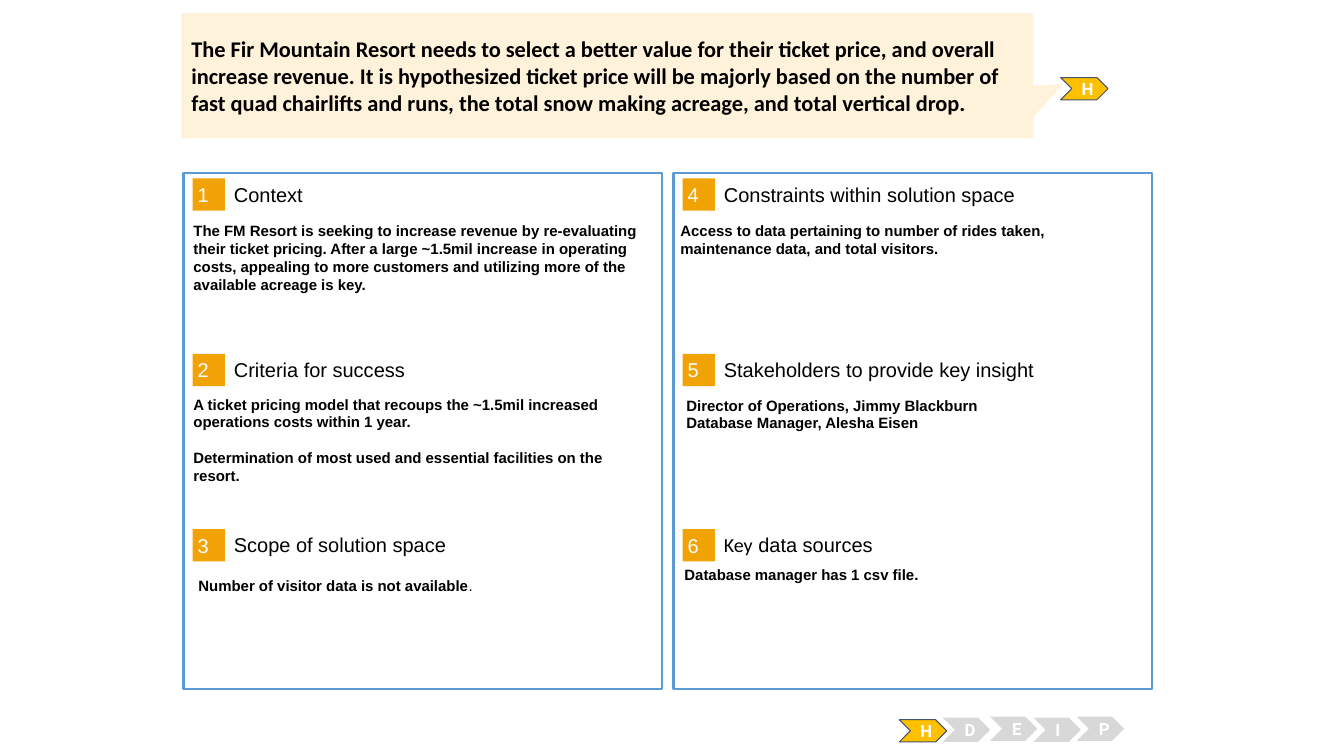
from pptx import Presentation, util as u
from pptx.dml.color import RGBColor
from pptx.enum import shapes as sh, text as tx

THEME = {
    "blue": "5B9BD5", "navy": "44546A", "gold": "FFC000", "amber": "F1A205",
    "cream": "FEF2DA", "grey": "D8D8D8", "white": "FFFFFF", "black": "000000",
    "lead": dict(name="Calibri", size=16, bold=True),
    "head": dict(name="Arial", size=14.3, bold=False),
    "body": dict(name="Arial", size=10.7, bold=True),
    "step": dict(name="Roboto", size=12, bold=True),
}
TOP, MID = tx.MSO_ANCHOR.TOP, tx.MSO_ANCHOR.MIDDLE
LEFT, CENTER = tx.PP_ALIGN.LEFT, tx.PP_ALIGN.CENTER

deck = Presentation()
deck.slide_width, deck.slide_height = u.Inches(13.33), u.Inches(7.5)
slide = deck.slides.add_slide(deck.slide_layouts[6])


def draw(kind, box, fill, line=None, width=0.75):
    """Add a preset shape, or a text box when kind is None."""
    spot = [u.Inches(v) for v in box]
    if kind is None:
        return slide.shapes.add_textbox(*spot)
    shape = slide.shapes.add_shape(kind, *spot)
    shape.shadow.inherit = False
    shape.fill.solid()
    shape.fill.fore_color.rgb = RGBColor.from_string(THEME[fill])
    if line:
        shape.line.color.rgb = RGBColor.from_string(THEME[line])
        shape.line.width = u.Pt(width)
    else:
        shape.line.fill.background()
    return shape


def write(shape, paras, style, color="black", anchor=MID, align=LEFT,
          pad=(0.1, 0.05), gap=0):
    """Fill a shape with paragraphs; each is a list of (text, font changes)."""
    frame = shape.text_frame
    side, edge = (u.Inches(v) for v in pad)
    form = dict(word_wrap=True, vertical_anchor=anchor, margin_left=side,
                margin_right=side, margin_top=edge, margin_bottom=edge)
    for key, value in form.items():
        setattr(frame, key, value)
    for i, runs in enumerate(paras):
        para = frame.add_paragraph() if i else frame.paragraphs[0]
        para.alignment = align
        para.space_before = u.Pt(gap if i else 0)
        for words, change in runs:
            run = para.add_run()
            run.text = words
            look = {**THEME[style], **change}
            look["size"] = u.Pt(look["size"])
            for key, value in look.items():
                setattr(run.font, key, value)
            run.font.color.rgb = RGBColor.from_string(THEME[color])


RECT, CHEVRON = sh.MSO_SHAPE.RECTANGLE, sh.MSO_SHAPE.CHEVRON

# Two framed columns of three numbered sections
COL, ROW = 4.86, 1.74
for col in range(2):
    draw(RECT, (1.82 + col * COL, 1.72, 4.75, 5.12), "white", "blue", 1.5)

# Each section: heading runs, body left and top, space between paragraphs, body
sections = [
    ([("Context", {})], 1.82, 2.15, 0,
     [[("The FM Resort is seeking to increase revenue by re-evaluating their "
        "ticket pricing. After a large ~1.5mil increase in operating costs, "
        "appealing to more customers and utilizing more of the available "
        "acreage is key.", {})]]),
    ([("Criteria for success", {})], 1.82, 3.87, 12.5,
     [[("A ticket pricing model that recoups the ~1.5mil increased operations "
        "costs within 1 year.", {})],
      [("Determination of most used and essential facilities on the resort.", {})]]),
    ([("Scope of solution space", {})], 1.87, 5.67, 0,
     [[("Number of visitor data is not available", {}), (".", {"bold": False})]]),
    ([("Constraints within solution space", {})], 6.65, 2.15, 0,
     [[("Access to data pertaining to number of rides taken, maintenance data, "
        "and total visitors.", {})]]),
    ([("Stakeholders to provide key insight", {})], 6.71, 3.88, 0,
     [[("Director of Operations, Jimmy Blackburn", {})],
      [("Database Manager, Alesha Eisen", {})]]),
    ([("Key", {"name": "Calibri"}), (" data sources", {})], 6.69, 5.56, 0,
     [[("Database manager has 1 csv file.", {})]]),
]
for n, (head, left, top, gap, body) in enumerate(sections):
    col, row = divmod(n, 3)
    x, y = 1.91 + col * COL, 1.77 + row * ROW
    badge = draw(RECT, (x, y, 0.32, 0.32), "amber")
    write(badge, [[(str(n + 1), {})]], "head", "white", pad=(0.05, 0.05))
    title = draw(None, (x + 0.41, y + 0.03, 3.93, 0.25), None)
    write(title, [head], "head", pad=(0, 0))
    note = draw(None, (left, top, 4.73, 1.18), None)
    write(note, body, "body", anchor=TOP, gap=gap)

# Progress chevrons, with the current step repeated beside the callout
steps = [("H", 8.92, 7.14), ("D", 9.35, 7.12), ("E", 9.82, 7.11),
         ("I", 10.25, 7.12), ("P", 10.68, 7.11), ("H", 10.52, 0.77)]
for mark, x, y in steps:
    now = mark == "H"
    step = draw(CHEVRON, (x, y, 0.47, 0.22 if now else 0.24),
                "gold" if now else "grey", "navy" if now else None)
    write(step, [[(mark, {})]], "step", "white", align=CENTER)

lead = draw(sh.MSO_SHAPE.RECTANGULAR_CALLOUT, (1.8, 0.13, 8.45, 1.24), "cream")
lead.adjustments[0], lead.adjustments[1] = 0.535, 0.066
write(lead, [[("The Fir Mountain Resort needs to select a better value for their "
               "ticket price, and overall increase revenue. It is hypothesized "
               "ticket price will be majorly based on the number of fast quad "
               "chairlifts and runs, the total snow making acreage, and total "
               "vertical drop.", {})]], "lead")

deck.save("out.pptx")
